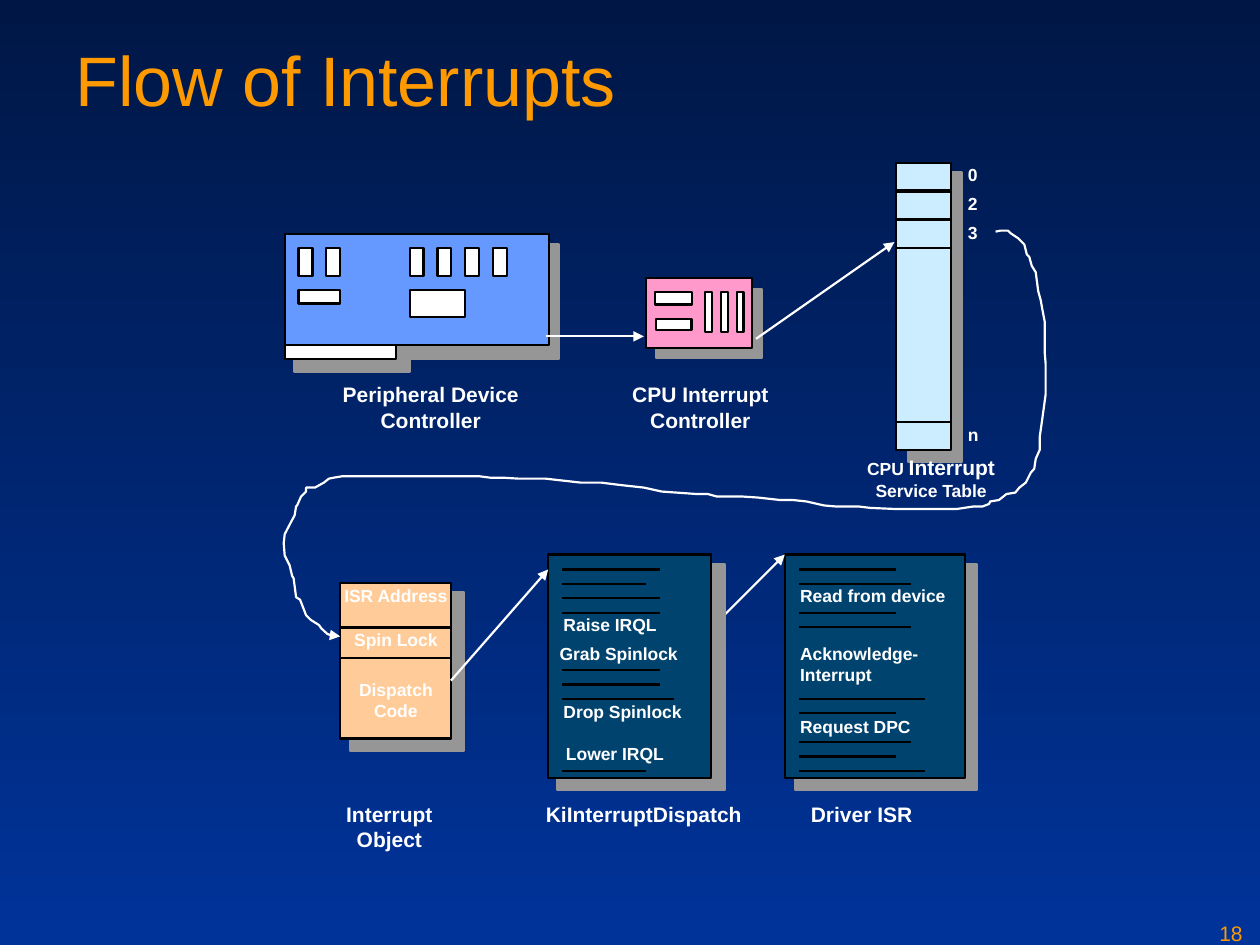
"""Build the Flow of Interrupts slide."""
from typing import NamedTuple

from lxml.etree import SubElement
from pptx import Presentation
from pptx.dml.color import RGBColor
from pptx.enum.shapes import MSO_CONNECTOR, MSO_SHAPE
from pptx.enum.text import MSO_ANCHOR, PP_ALIGN
from pptx.oxml.ns import qn
from pptx.util import Cm, Pt

ORANGE, WHITE, BLACK, GRAY = "FE9900", "FFFFFF", "000000", "969696"
BLUE, PINK, ICE, PEACH, TEAL = "6699FF", "FF99CC", "CCECFF", "FFCC99", "00436E"
LABEL_TOP, CODE_TOP, CODE_STEP = 16.13, 11.48, 0.29
CHIP_W, CHIP_H, CHIP_STEP = 0.28, 0.56, 0.56
TABLE_X, TABLE_W = 18.06, 1.12

RETURN_PATH = [
    (2007, 467), (2017, 465), (2032, 465), (2037, 470), (2052, 480), (2065, 493),
    (2070, 513), (2075, 518), (2080, 536), (2088, 549), (2093, 587), (2098, 605),
    (2101, 622), (2106, 648), (2106, 709), (2108, 734), (2108, 795), (2101, 846),
    (2096, 881), (2096, 907), (2088, 925), (2085, 945), (2078, 953), (2068, 973),
    (2055, 983), (2047, 993), (2029, 996), (2014, 1008), (1996, 1011), (1994, 1016),
    (1981, 1021), (1963, 1021), (1930, 1026), (1801, 1026), (1755, 1024), (1730, 1021),
    (1684, 1021), (1661, 1019), (1626, 1011), (1598, 1008), (1572, 1008), (1527, 1003),
    (1496, 1001), (1445, 1001), (1427, 996), (1405, 996), (1334, 991), (1298, 983),
    (1252, 978), (1212, 973), (1171, 973), (1100, 965), (1046, 965), (1013, 963),
    (988, 963), (965, 960), (691, 960), (673, 963), (663, 965), (653, 973),
    (635, 983), (617, 983), (617, 991), (607, 1001), (599, 1019), (597, 1021),
    (594, 1039), (587, 1052), (574, 1077), (572, 1095), (574, 1120), (584, 1140),
    (589, 1161), (592, 1166), (597, 1204), (605, 1209), (617, 1240), (627, 1250),
    (643, 1260), (648, 1267), (660, 1278), (673, 1283), (686, 1283),
]


class Box(NamedTuple):
    x: float
    y: float
    w: float
    h: float


class Note(NamedTuple):
    text: str
    box: Box


class CodeBlock(NamedTuple):
    shadow: Box
    page: Box
    line_x: float
    lines: dict[int, float]
    arrow: tuple[float, float, float, float]
    notes: list[Note]
    label: Note


def rgb(color: str) -> RGBColor:
    """Turn a hex string into a colour."""
    return RGBColor.from_string(color)


def write(sp, text: str, *, size=10, color=WHITE, bold=True,
          align=PP_ALIGN.LEFT, inset=0.03, top=0.03) -> None:
    """Add a formatted run to the first paragraph of a shape."""
    tf = sp.text_frame
    tf.word_wrap = True
    tf.vertical_anchor = MSO_ANCHOR.TOP
    tf.margin_left = tf.margin_right = tf.margin_bottom = Cm(inset)
    tf.margin_top = Cm(top)
    p = tf.paragraphs[0]
    p.alignment = align
    r = p.add_run()
    r.text = text
    r.font.name, r.font.size, r.font.bold = "Arial", Pt(size), bold
    r.font.color.rgb = rgb(color)


def draw_rect(s, box: Box, fill: str, line: str = BLACK):
    """Draw a filled rectangle with a thin outline."""
    sp = s.shapes.add_shape(MSO_SHAPE.RECTANGLE, *map(Cm, box))
    sp.shadow.inherit = False
    sp.fill.solid()
    sp.fill.fore_color.rgb = rgb(fill)
    sp.line.color.rgb = rgb(line)
    sp.line.width = Pt(1.25)
    return sp


def draw_note(s, note: Note, **fmt) -> None:
    """Draw a text box."""
    write(s.shapes.add_textbox(*map(Cm, note.box)), note.text, **fmt)


def draw_label(s, note: Note) -> None:
    """Draw a centred caption."""
    draw_note(s, note, size=12, align=PP_ALIGN.CENTER)


def style_line(sp, color: str, arrow: bool) -> None:
    """Set line colour and width and an optional arrowhead."""
    sp.line.color.rgb = rgb(color)
    sp.line.width = Pt(1.25)
    if arrow:
        ln = sp._element.spPr.find(qn("a:ln"))
        SubElement(ln, qn("a:tailEnd"), type="triangle")


def draw_line(s, x1: float, y1: float, x2: float, y2: float,
              color: str = WHITE, arrow: bool = True) -> None:
    """Draw a straight connector."""
    sp = s.shapes.add_connector(MSO_CONNECTOR.STRAIGHT, *map(Cm, (x1, y1, x2, y2)))
    style_line(sp, color, arrow)
    SubElement(sp._element.spPr, qn("a:effectLst"))


def draw_device(s) -> None:
    """Draw the peripheral device controller board."""
    draw_rect(s, Box(5.99, 4.93, 5.28, 2.31), GRAY, GRAY)
    draw_rect(s, Box(5.92, 6.63, 2.34, 0.86), GRAY, GRAY)
    draw_rect(s, Box(5.74, 4.72, 5.33, 2.24), BLUE)
    chips = [Box(x + i * CHIP_STEP, 5, CHIP_W, CHIP_H)
             for x, count in ((6.02, 2), (8.26, 4)) for i in range(count)]
    for box in [Box(5.74, 6.96, 2.24, 0.28), Box(6.02, 5.84, 0.84, 0.28),
                Box(8.26, 5.84, 1.12, 0.56), *chips]:
        draw_rect(s, box, WHITE)
    draw_label(s, Note("Peripheral Device Controller", Box(6.02, 7.67, 5.33, 0.56)))


def draw_controller(s) -> None:
    """Draw the CPU interrupt controller."""
    draw_rect(s, Box(13.23, 5.82, 2.13, 1.4), GRAY, GRAY)
    draw_rect(s, Box(13.03, 5.61, 2.13, 1.4), PINK)
    bars = [Box(14.22 + i * 0.32, 5.89, 0.13, 0.81) for i in range(3)]
    for box in [Box(13.21, 5.89, 0.74, 0.25), Box(13.23, 6.43, 0.71, 0.23), *bars]:
        draw_rect(s, box, WHITE)
    draw_label(s, Note("CPU Interrupt Controller", Box(12.47, 7.67, 3.3, 1.14)))
    draw_line(s, 11, 6.78, 12.98, 6.78)


def draw_service_table(s) -> None:
    """Draw the interrupt service table with its indices."""
    draw_rect(s, Box(18.31, 3.48, 1.09, 5.84), GRAY, GRAY)
    draw_rect(s, Box(TABLE_X, 3.28, TABLE_W, 5.61), ICE)
    for index, y in (("0", 3.28), ("2", 3.86), ("3", 4.44), ("n", 8.51)):
        draw_rect(s, Box(TABLE_X, y, TABLE_W, 0.56), ICE)
        draw_note(s, Note(index, Box(19.48, y, 0.28, 0.56)))
    caption = s.shapes.add_textbox(Cm(17.22), Cm(9.14), Cm(3.1), Cm(1.12))
    for text, size in (("CPU ", 10), ("Interrupt", 12), (" Service Table", 10)):
        write(caption, text, size=size, align=PP_ALIGN.CENTER)
    draw_line(s, 15.24, 6.83, 18.03, 4.88)


def draw_interrupt_object(s) -> None:
    """Draw the interrupt object and the path leading to it."""
    draw_rect(s, Box(7.06, 11.94, 2.29, 3.2), GRAY, GRAY)
    for text, y, h, top in (("ISR Address", 11.76, 0.91, 0.03),
                            ("Spin Lock", 12.65, 0.61, 0.03),
                            ("Dispatch Code", 13.26, 1.63, 0.43)):
        sp = draw_rect(s, Box(6.86, y, 2.24, h), PEACH)
        write(sp, text, align=PP_ALIGN.CENTER, top=top)
    builder = s.shapes.build_freeform(*RETURN_PATH[0], scale=Cm(0.01))
    builder.add_line_segments(RETURN_PATH[1:], close=False)
    sp = builder.convert_to_shape()
    sp.shadow.inherit = False
    sp.fill.background()
    style_line(sp, WHITE, arrow=True)
    draw_label(s, Note("Interrupt Object", Box(6.3, LABEL_TOP, 3.1, 0.56)))


def draw_code(s, block: CodeBlock) -> None:
    """Draw a page of code with its steps, arrow and caption."""
    draw_rect(s, block.shadow, GRAY, GRAY)
    draw_rect(s, block.page, TEAL)
    draw_line(s, *block.arrow)
    for row, length in block.lines.items():
        y = CODE_TOP + row * CODE_STEP
        draw_line(s, block.line_x, y, block.line_x + length, y, BLACK, arrow=False)
    for note in block.notes:
        draw_note(s, note)
    draw_label(s, block.label)


DRIVER = CodeBlock(
    Box(16.03, 11.38, 3.66, 4.55), Box(15.82, 11.18, 3.63, 4.5), 16.1,
    {0: 1.96, 1: 2.26, 3: 1.96, 4: 2.26, 9: 2.54, 10: 1.96, 12: 2.26, 13: 1.96, 14: 2.54},
    (13.28, 13.72, 15.82, 11.18),
    [Note("Read from device", Box(16.1, 11.76, 3.38, 0.56)),
     Note("Acknowledge-Interrupt", Box(16.1, 12.93, 2.82, 1.12)),
     Note("Request DPC", Box(16.1, 14.4, 2.82, 0.56))],
    Note("Driver ISR", Box(15.82, LABEL_TOP, 3.1, 0.56)))
DISPATCH = CodeBlock(
    Box(11.23, 11.38, 3.38, 4.55), Box(11.05, 11.18, 3.28, 4.5), 11.33,
    {0: 1.98, 1: 1.7, 2: 1.98, 3: 1.98, 7: 1.98, 8: 1.98, 9: 2.26, 14: 1.7},
    (9.09, 13.72, 11.05, 11.48),
    [Note("Raise IRQL", Box(11.33, 12.34, 2.51, 0.56)),
     Note("Grab Spinlock", Box(11.25, 12.93, 2.82, 0.56)),
     Note("Drop Spinlock", Box(11.33, 14.1, 2.51, 0.56)),
     Note("Lower IRQL", Box(11.38, 14.94, 2.51, 0.56))],
    Note("KiInterruptDispatch", Box(10.77, LABEL_TOP, 4.42, 0.69)))


def main() -> None:
    """Build and save the slide."""
    prs = Presentation()
    prs.slide_width, prs.slide_height = Cm(25.4), Cm(19.05)
    s = prs.slides.add_slide(prs.slide_layouts[5])
    fill = s.background.fill
    fill.gradient()
    fill.gradient_angle = 270
    for stop, color in zip(fill.gradient_stops, ("001746", "003399")):
        stop.color.rgb = rgb(color)
    title = s.shapes.title
    title.left, title.top, title.width, title.height = map(Cm, (1.27, 0.61, 22.86, 3.18))
    write(title, "Flow of Interrupts", size=40, color=ORANGE, bold=False, inset=0.25, top=0.13)
    draw_note(s, Note("18", Box(24.33, 18.42, 1.07, 0.63)),
              size=12, color=ORANGE, bold=False, inset=0.25, top=0.13)
    for draw in (draw_device, draw_controller, draw_service_table, draw_interrupt_object):
        draw(s)
    for block in (DRIVER, DISPATCH):
        draw_code(s, block)
    prs.save("out.pptx")


if __name__ == "__main__":
    main()
